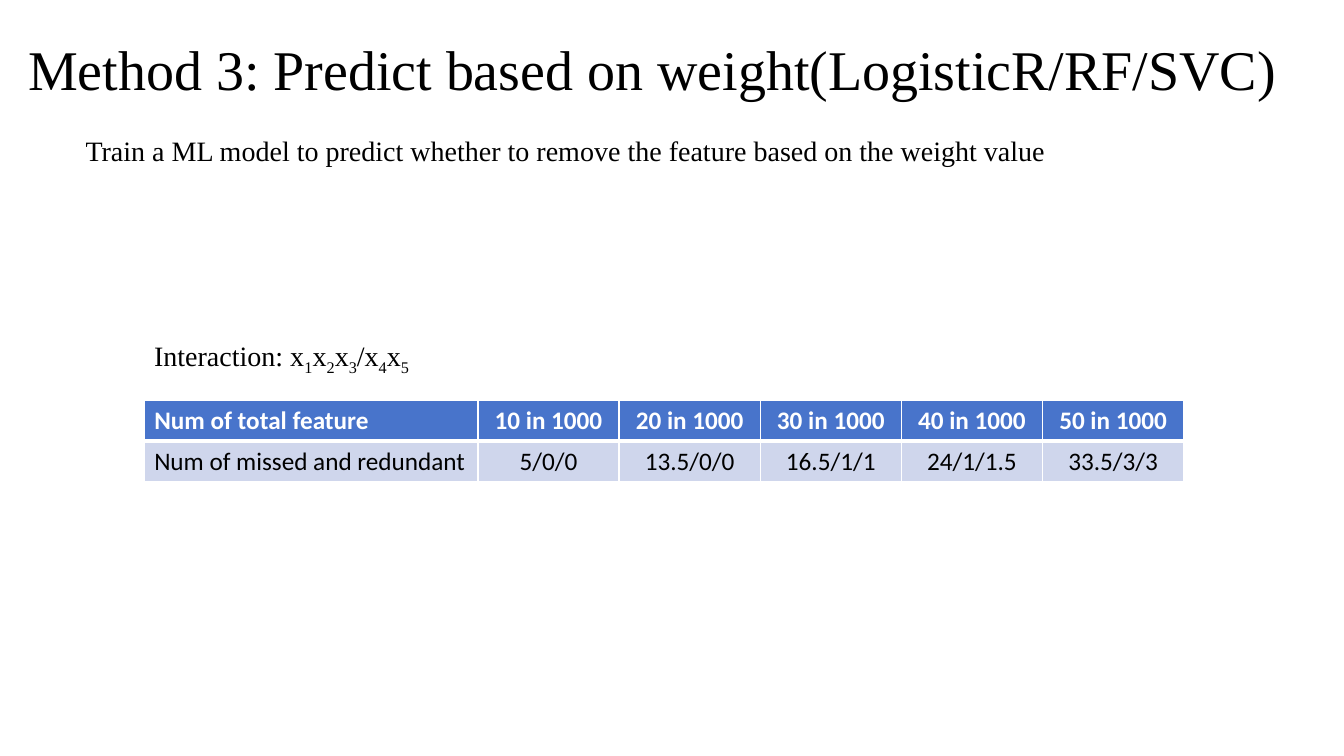
from lxml.etree import SubElement
from pptx import Presentation
from pptx.dml.color import RGBColor
from pptx.enum.text import MSO_ANCHOR, MSO_AUTO_SIZE, PP_ALIGN
from pptx.oxml.ns import qn
from pptx.util import Inches, Pt

BLACK = RGBColor(0x00, 0x00, 0x00)
WHITE = RGBColor(0xFF, 0xFF, 0xFF)
HEADER_BLUE = RGBColor(0x48, 0x74, 0xCB)
BODY_BLUE = RGBColor(0xCF, 0xD6, 0xEC)
TEXT_FONT = "Times New Roman"
TABLE_FONT = "Calibri"

TITLE = ["Method 3: Predict based on weight(LogisticR/RF/SVC)"]
SUMMARY = ["\tTrain a ML model to predict whether to remove the feature based on the weight value"]
# Every second run is a subscript.
INTERACTION = ["Interaction: x", "1", "x", "2", "x", "3", "/x", "4", "x", "5"]

LABELS = [["Num of total feature"], ["Num of missed and redundant"]]
RESULTS = [
    ["10 in 1000", "20 in 1000", "30 in 1000", "40 in 1000", "50 in 1000"],
    ["5/0/0", "13.5/0/0", "16.5/1/1", "24/1/1.5", "33.5/3/3"],
]

TABLE_LEFT, TABLE_TOP = 1.43, 3.97
LABEL_WIDTH, RESULT_WIDTH, ROW_HEIGHT = 3.31, 1.4, 0.405


def style_run(run, font, size, color, bold=False):
    run.font.name = font
    run.font.size = Pt(size)
    run.font.color.rgb = color
    run.font.bold = bold


def add_text(slide, runs, left, top, width, height, size, wrap=True):
    box = slide.shapes.add_textbox(Inches(left), Inches(top), Inches(width), Inches(height))
    frame = box.text_frame
    frame.word_wrap = wrap
    frame.auto_size = MSO_AUTO_SIZE.SHAPE_TO_FIT_TEXT
    for index, text in enumerate(runs):
        run = frame.paragraphs[0].add_run()
        run.text = text
        style_run(run, TEXT_FONT, size, BLACK)
        if index % 2:
            run.font._element.set("baseline", "-25000")


def add_borders(cell, bottom_width):
    """Draw white cell borders; call before filling, as the schema puts lines first."""
    properties = cell._tc.get_or_add_tcPr()
    for side, width in (("L", 1), ("R", 1), ("T", 1), ("B", bottom_width)):
        line = SubElement(properties, qn(f"a:ln{side}"), w=str(Pt(width)))
        fill = SubElement(line, qn("a:solidFill"))
        SubElement(fill, qn("a:srgbClr"), val=str(WHITE))


def add_grid(slide, rows, left, column_width, align):
    column_count = len(rows[0])
    table = slide.shapes.add_table(
        len(rows), column_count, Inches(left), Inches(TABLE_TOP),
        Inches(column_width * column_count), Inches(ROW_HEIGHT * len(rows))).table
    for r, row in enumerate(rows):
        header = r == 0
        for c, text in enumerate(row):
            cell = table.cell(r, c)
            add_borders(cell, 3 if header else 1)
            cell.fill.solid()
            cell.fill.fore_color.rgb = HEADER_BLUE if header else BODY_BLUE
            cell.vertical_anchor = MSO_ANCHOR.MIDDLE
            paragraph = cell.text_frame.paragraphs[0]
            paragraph.alignment = align
            run = paragraph.add_run()
            run.text = text
            style_run(run, TABLE_FONT, 18, WHITE if header else BLACK, header)


def main():
    deck = Presentation()
    deck.slide_width, deck.slide_height = Inches(13.33), Inches(7.5)
    slide = deck.slides.add_slide(deck.slide_layouts[6])
    add_text(slide, TITLE, 0.18, 0.29, 12.98, 0.77, 40)
    add_text(slide, SUMMARY, 0.25, 1.28, 12.29, 0.44, 20)
    add_grid(slide, RESULTS, TABLE_LEFT + LABEL_WIDTH, RESULT_WIDTH, PP_ALIGN.CENTER)
    add_grid(slide, LABELS, TABLE_LEFT, LABEL_WIDTH, PP_ALIGN.LEFT)
    add_text(slide, INTERACTION, TABLE_LEFT, 3.31, 2.9, 0.44, 20, wrap=False)
    deck.save("out.pptx")


if __name__ == "__main__":
    main()
